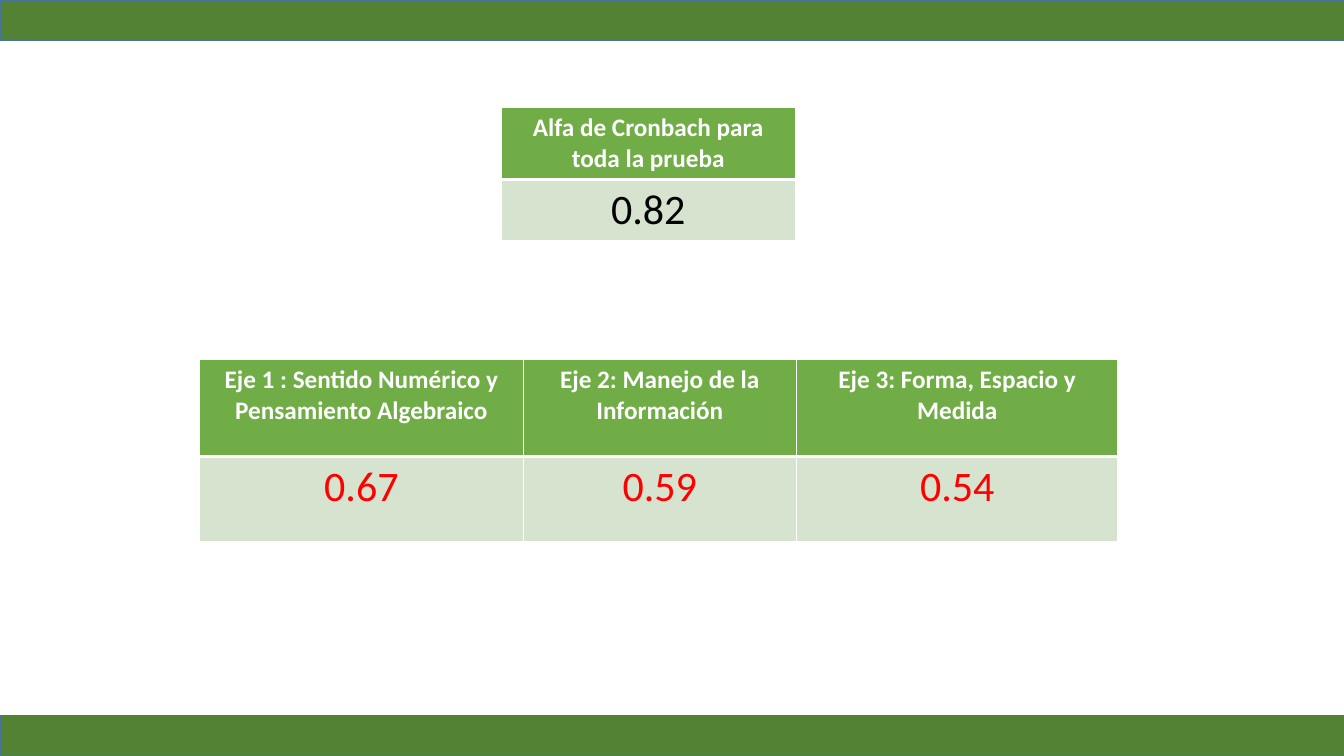
from lxml import etree
from pptx import Presentation
from pptx.dml.color import RGBColor
from pptx.enum.shapes import MSO_SHAPE
from pptx.enum.text import PP_ALIGN
from pptx.oxml.ns import qn
from pptx.util import Inches, Pt

WIDTH, HEIGHT, BAND_HEIGHT = 13.33, 7.5, 0.4
TABLES = [
    {"at": (4.97, 1.07), "columns": [2.92], "rows": [0.7, 0.6],
     "headers": ["Alfa de Cronbach para toda la prueba"],
     "values": ["0.82"], "value_color": "000000"},
    {"at": (1.98, 3.57), "columns": [3.21, 2.71, 3.19], "rows": [0.96, 0.84],
     "headers": ["Eje 1 : Sentido Numérico y Pensamiento Algebraico",
                 "Eje 2: Manejo de la Información",
                 "Eje 3: Forma, Espacio y Medida"],
     "values": ["0.67", "0.59", "0.54"], "value_color": "FF0000"},
]


def paint(color_format, color):
    color_format.rgb = RGBColor.from_string(color)


def fill_with(item, color):
    item.fill.solid()
    paint(item.fill.fore_color, color)


def add_borders(cell, widths):
    properties = cell._tc.get_or_add_tcPr()
    for side, width in widths.items():
        line = etree.SubElement(properties, qn(f"a:ln{side}"), w=str(Pt(width)))
        solid = etree.SubElement(line, qn("a:solidFill"))
        etree.SubElement(solid, qn("a:srgbClr"), val="FFFFFF")


def write_cell(cell, text, size, color, bold, fill, borders):
    add_borders(cell, borders)
    fill_with(cell, fill)
    paragraph = cell.text_frame.paragraphs[0]
    paragraph.alignment = PP_ALIGN.CENTER
    run = paragraph.add_run()
    run.text = text
    run.font.name, run.font.size, run.font.bold = "Calibri", Pt(size), bold
    paint(run.font.color, color)


def add_reliability_table(slide, spec):
    columns, rows = spec["columns"], spec["rows"]
    box = [Inches(n) for n in (*spec["at"], sum(columns), sum(rows))]
    table = slide.shapes.add_table(len(rows), len(columns), *box).table
    for column, width in zip(table.columns, columns):
        column.width = Inches(width)
    for row, height in zip(table.rows, rows):
        row.height = Inches(height)
    for i, (header, value) in enumerate(zip(spec["headers"], spec["values"])):
        write_cell(table.cell(0, i), header, 18, "FFFFFF", True, "70AD47",
                   {"L": 1, "R": 1, "T": 1, "B": 3})
        write_cell(table.cell(1, i), value, 30, spec["value_color"], False, "D5E3CF",
                   {"L": 1, "R": 1, "T": 3, "B": 1})


def add_band(slide, top):
    band = slide.shapes.add_shape(MSO_SHAPE.RECTANGLE, 0, Inches(top),
                                  Inches(WIDTH), Inches(BAND_HEIGHT))
    band.shadow.inherit = False
    fill_with(band, "548235")
    paint(band.line.color, "43739E")
    band.line.width = Pt(1)


prs = Presentation()
prs.slide_width, prs.slide_height = Inches(WIDTH), Inches(HEIGHT)
slide = prs.slides.add_slide(prs.slide_layouts[6])
for spec in TABLES:
    add_reliability_table(slide, spec)
for top in (0, HEIGHT - BAND_HEIGHT):
    add_band(slide, top)
prs.save("out.pptx")
